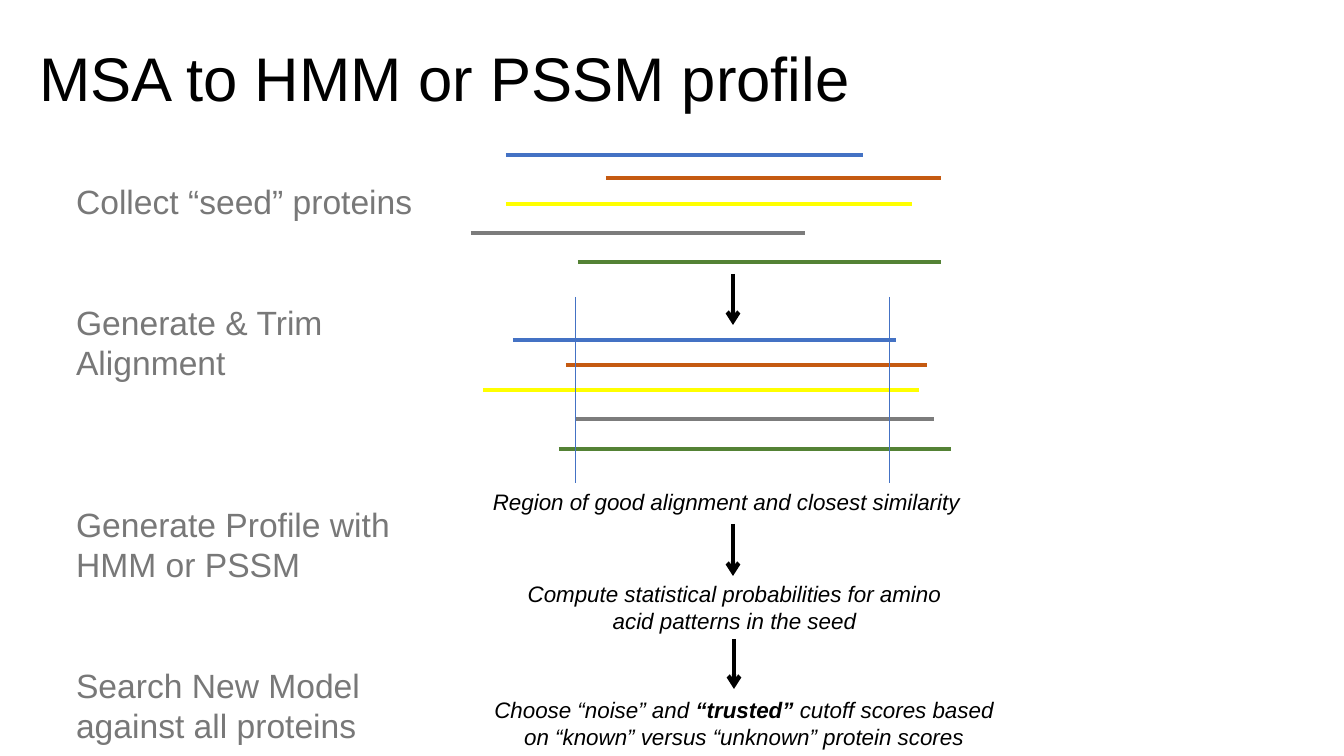
import pptx
import pptx.util
import pptx.dml.color
import pptx.enum.shapes
import pptx.enum.text
import pptx.oxml
import pptx.oxml.ns

PX_PER_INCH = 100.8
ALIGN = pptx.enum.text.PP_ALIGN
ANCHOR = pptx.enum.text.MSO_ANCHOR

BLACK, GREY_TEXT, BLUE = "000000", "787878", "4472C4"
PROTEIN_COLORS = [BLUE, "C55A11", "FFFF00", "7C7C7C", "548235"]

# One (left, right, y) per protein
SEEDS = [(506, 863, 155), (606, 941, 178), (506, 912, 204),
         (471, 805, 233), (578, 941, 262)]
ALIGNED = [(513, 896, 340), (566, 927, 365), (483, 919, 390),
           (575, 934, 419), (559, 951, 449)]
TRIM_EDGES = [575, 889]
ARROWS = [(733, 274, 325), (733, 524, 576), (734, 639, 689)]

# Step and the space before it in points
STEPS = [("Collect “seed” proteins", 0),
         ("Generate & Trim Alignment", 57.6),
         ("Generate Profile with HMM or PSSM", 86.4),
         ("Search New Model against all proteins", 57.6)]


def px(n):
    return pptx.util.Emu(round(n * 914400 / PX_PER_INCH))


def rgb(value):
    return pptx.dml.color.RGBColor.from_string(value)


def set_all(target, values):
    for name, value in values.items():
        setattr(target, name, value)


class Deck:
    def __init__(self, width, height, font):
        self.prs = pptx.Presentation()
        set_all(self.prs, {"slide_width": px(width), "slide_height": px(height)})
        self.font = font
        self.s = self.prs.slides.add_slide(self.prs.slide_layouts[1])

    def place(self, sp, box):
        set_all(sp, dict(zip(("left", "top", "width", "height"), map(px, box))))

    def run(self, p, text, size, color, **style):
        r = p.add_run()
        r.text = text
        set_all(r.font, {"name": self.font, "size": pptx.util.Pt(size), **style})
        r.font.color.rgb = rgb(color)

    def title(self, text, box):
        sp = self.s.shapes.title
        self.place(sp, box)
        tf = sp.text_frame
        set_all(tf, {"vertical_anchor": ANCHOR.MIDDLE, "word_wrap": True,
                     "auto_size": pptx.enum.text.MSO_AUTO_SIZE.NONE})
        p = tf.paragraphs[0]
        set_all(p, {"alignment": ALIGN.LEFT, "line_spacing": 0.9})
        self.run(p, text, 44, BLACK)

    def steps(self, items, box):
        """Fill the body placeholder with unbulleted steps."""
        sp = self.s.placeholders[1]
        self.place(sp, box)
        tf = sp.text_frame
        set_all(tf, {"vertical_anchor": ANCHOR.TOP, "word_wrap": True,
                     "auto_size": pptx.enum.text.MSO_AUTO_SIZE.NONE})
        for i, (text, gap) in enumerate(items):
            p = tf.add_paragraph() if i else tf.paragraphs[0]
            set_all(p, {"alignment": ALIGN.LEFT,
                        "line_spacing": pptx.util.Pt(28.8),
                        "space_before": pptx.util.Pt(gap)})
            pPr = p._p.get_or_add_pPr()
            pPr.set("marL", "0")
            pPr.set("indent", "0")
            pptx.oxml.ns.qn("a:buNone")
            pPr.append(pptx.oxml.parse_xml(
                "<a:buNone %s/>" % pptx.oxml.ns.nsdecls("a")))
            self.run(p, text, 24, GREY_TEXT)

    def caption(self, runs, box, align=ALIGN.CENTER, wrap=True):
        """Add an italic text box from (text, bold) runs."""
        sp = self.s.shapes.add_textbox(*map(px, box))
        sp.text_frame.word_wrap = wrap
        p = sp.text_frame.paragraphs[0]
        p.alignment = align
        for text, bold in runs:
            self.run(p, text, 16, BLACK, italic=True, bold=bold)

    def line(self, shapes, ends, color, width=3, arrow=False):
        c = shapes.add_connector(
            pptx.enum.shapes.MSO_CONNECTOR.STRAIGHT, *map(px, ends))
        c.line.width = pptx.util.Pt(width)
        c.line.color.rgb = rgb(color)
        ns = pptx.oxml.ns.nsdecls("a")
        if arrow:
            c.line._get_or_add_ln().append(
                pptx.oxml.parse_xml('<a:tailEnd %s type="arrow"/>' % ns))
        c._element.spPr.append(pptx.oxml.parse_xml("<a:effectLst %s/>" % ns))

    def proteins(self, bars):
        """Group one coloured bar per protein and return the group's shapes."""
        shapes = self.s.shapes.add_group_shape().shapes
        for (left, right, y), color in zip(bars, PROTEIN_COLORS):
            self.line(shapes, (left, y, right, y), color)
        return shapes


def main():
    deck = Deck(1344, 756, "Arial")
    deck.title("MSA to HMM or PSSM profile", (29, 9, 1179, 146))
    deck.steps(STEPS, (66, 176, 385, 580))

    deck.proteins(SEEDS)
    alignment = deck.proteins(ALIGNED)
    for x in TRIM_EDGES:
        deck.line(alignment, (x, 297, x, 483), BLUE, width=0.5)
    for x, top, bottom in ARROWS:
        deck.line(deck.s.shapes, (x, top, x, bottom), BLACK, arrow=True)

    deck.caption([("Region of good alignment and closest similarity", False)],
                 (483, 483, 499, 37), align=ALIGN.LEFT, wrap=False)
    deck.caption([("Compute statistical probabilities for amino acid "
                   "patterns in the seed", False)], (500, 575, 469, 65))
    deck.caption([("Choose “noise” and ", False), ("“trusted” ", True),
                  ("cutoff scores based on “known” versus “unknown” "
                   "protein scores", False)], (477, 691, 534, 65))
    deck.prs.save("out.pptx")


if __name__ == "__main__":
    main()
